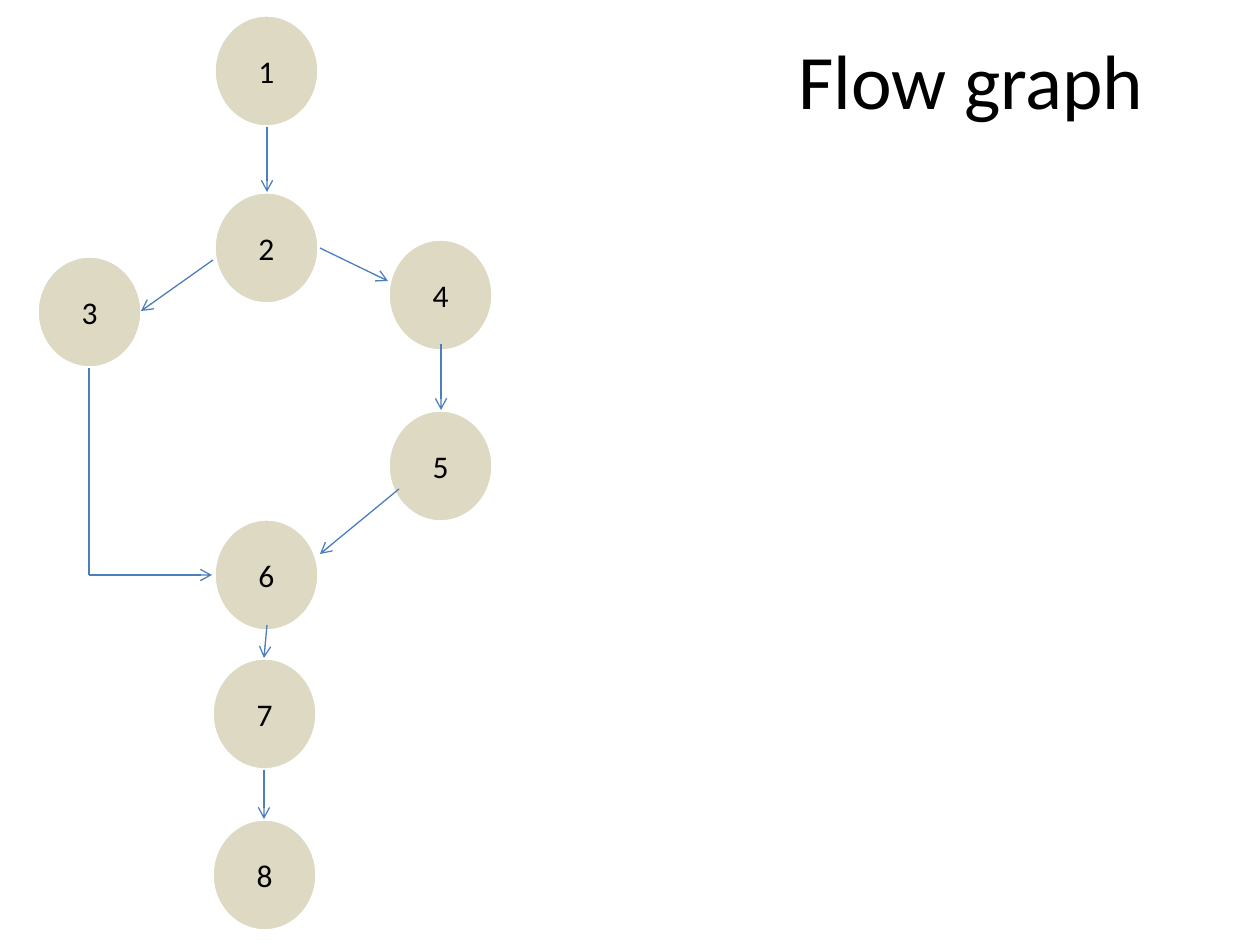
from pptx import Presentation
from pptx.dml.color import RGBColor
from pptx.enum.shapes import MSO_CONNECTOR, MSO_SHAPE
from pptx.enum.text import MSO_ANCHOR, PP_ALIGN
from pptx.oxml.ns import qn
from pptx.util import Emu, Pt
from lxml.etree import SubElement

EMU_PER_PX = 914400 / 126
BLACK = RGBColor(0x00, 0x00, 0x00)
WHITE = RGBColor(0xFF, 0xFF, 0xFF)
SAND = RGBColor(0xDD, 0xD9, 0xC3)
BLUE = RGBColor(0x4B, 0x7E, 0xBC)

NODE_WIDTH, NODE_HEIGHT = 105, 112
NODES = {  # label: left, top
    "1": (214, 15),
    "2": (214, 192),
    "3": (37, 256),
    "4": (388, 239),
    "5": (388, 410),
    "6": (214, 519),
    "7": (212, 658),
    "8": (212, 819),
}
ARROWS = [  # from x, y, to x, y
    (267, 127, 267, 192),
    (320, 248, 388, 281),
    (267, 625, 264, 658),
    (264, 770, 264, 819),
    (441, 344, 441, 410),
    (213, 260, 141, 311),
    (399, 489, 320, 554),
    (89, 575, 212, 575),
]
ELBOW_STEM = (89, 368, 89, 575)


def px(*lengths):
    return [Emu(round(length * EMU_PER_PX)) for length in lengths]


def write_text(shape, text, size, color=BLACK, font="Calibri"):
    frame = shape.text_frame
    frame.word_wrap = True
    frame.vertical_anchor = MSO_ANCHOR.MIDDLE
    para = frame.paragraphs[0]
    para.alignment = PP_ALIGN.CENTER
    span = para.add_run()
    span.text = text
    span.font.size = Pt(size)
    span.font.name = font
    span.font.color.rgb = color


def add_title(page, text):
    box = page.shapes.add_textbox(*px(404, 0, 1134, 158))
    write_text(box, text, size=44)


def add_node(page, label, left, top):
    node = page.shapes.add_shape(
        MSO_SHAPE.OVAL, *px(left, top, NODE_WIDTH, NODE_HEIGHT))
    node.shadow.inherit = False
    node.fill.solid()
    node.fill.fore_color.rgb = SAND
    node.line.color.rgb = WHITE
    node.line.width = Pt(2)
    write_text(node, label, size=18)


def add_edge(page, ends, arrow=True):
    edge = page.shapes.add_connector(MSO_CONNECTOR.STRAIGHT, *px(*ends))
    edge.line.color.rgb = BLUE
    edge.line.width = Pt(0.75)
    properties = edge._element.spPr
    if arrow:
        SubElement(properties.find(qn("a:ln")), qn("a:tailEnd"), type="arrow")
    SubElement(properties, qn("a:effectLst"))


def main():
    deck = Presentation()
    deck.slide_width, deck.slide_height = px(1260, 945)
    page = deck.slides.add_slide(deck.slide_layouts[6])
    add_title(page, "Flow graph")
    for label, corner in NODES.items():
        add_node(page, label, *corner)
    for ends in ARROWS:
        add_edge(page, ends)
    add_edge(page, ELBOW_STEM, arrow=False)
    deck.save("out.pptx")


if __name__ == "__main__":
    main()
